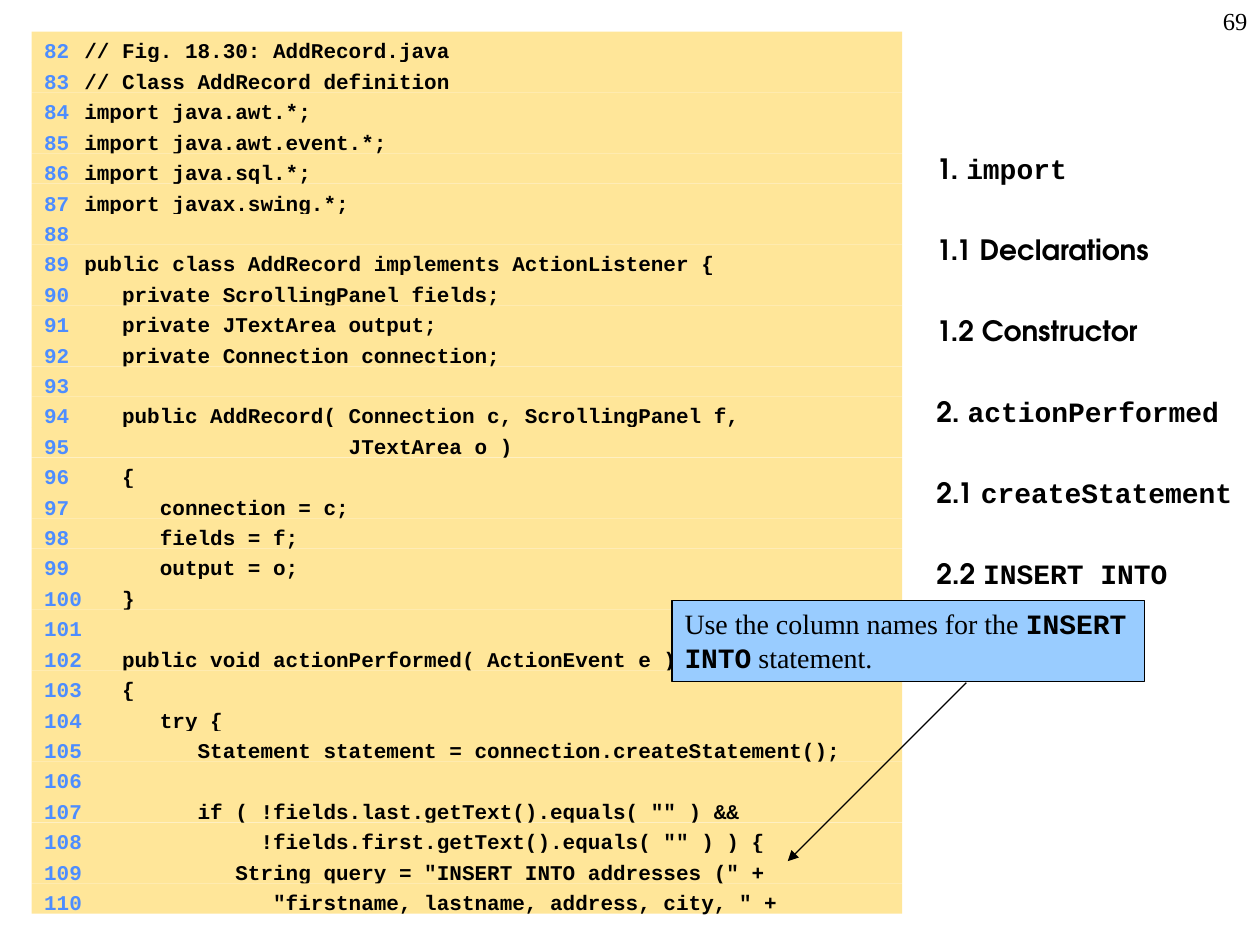
from lxml import etree
from pptx import Presentation
from pptx import util as u
from pptx.dml.color import RGBColor
from pptx.enum import shapes, text
from pptx.oxml import ns

BLACK = RGBColor(0x00, 0x00, 0x00)
CREAM = RGBColor(0xFF, 0xE6, 0x99)
BLUE = RGBColor(0x4D, 0x8D, 0xFF)
SKY = RGBColor(0x99, 0xCC, 0xFF)

MONO = "Courier New"
SANS = "TeX Gyre Adventor"
SERIF = "Times New Roman"

FIRST = 82
CODE = """// Fig. 18.30: AddRecord.java
// Class AddRecord definition
import java.awt.*;
import java.awt.event.*;
import java.sql.*;
import javax.swing.*;

public class AddRecord implements ActionListener {
   private ScrollingPanel fields;
   private JTextArea output;
   private Connection connection;

   public AddRecord( Connection c, ScrollingPanel f,
                     JTextArea o )
   {
      connection = c;
      fields = f;
      output = o;
   }

   public void actionPerformed( ActionEvent e )
   {
      try {
         Statement statement = connection.createStatement();

         if ( !fields.last.getText().equals( "" ) &&
              !fields.first.getText().equals( "" ) ) {
            String query = "INSERT INTO addresses (" +
               "firstname, lastname, address, city, " +""".split("\n")

TOPICS = [
    [("1. ", SANS), ("import", MONO)],
    [("1.1 Declarations", SANS)],
    [("1.2 Constructor", SANS)],
    [("2. ", SANS), ("actionPerformed", MONO)],
    [("2.1 ", SANS), ("createStatement", MONO)],
    [("2.2 ", SANS), ("INSERT INTO", MONO)],
]


class Page:
    def __init__(self, deck):
        self.slide = deck.slides.add_slide(deck.slide_layouts[0])
        self.title = self.slide.shapes.title
        self.title.element.getparent().remove(self.title.element)

    def run(self, para, words, font, size, color=BLACK, bold=False):
        run = para.add_run()
        run.text = words
        run.font.name = font
        run.font.size = u.Pt(size)
        run.font.bold = bold
        run.font.color.rgb = color

    def frame(self, shape):
        frame = shape.text_frame
        frame.word_wrap = True
        frame.auto_size = text.MSO_AUTO_SIZE.NONE
        frame.vertical_anchor = text.MSO_ANCHOR.TOP
        frame.paragraphs[0].alignment = text.PP_ALIGN.LEFT
        return frame

    def box(self, left, top, width, height, fill):
        box = self.slide.shapes.add_shape(
            shapes.MSO_SHAPE.RECTANGLE,
            u.Cm(left), u.Cm(top), u.Cm(width), u.Cm(height))
        box.shadow.inherit = False
        box.fill.solid()
        box.fill.fore_color.rgb = fill
        box.line.fill.background()
        return box

    def tabs(self, para, stops):
        props = para._p.get_or_add_pPr()
        tabs = etree.SubElement(props, ns.qn("a:tabLst"))
        for place, side in stops:
            etree.SubElement(tabs, ns.qn("a:tab"),
                             pos=str(u.Cm(place)), algn=side)

    def code(self, lines, first, left, top, width, height):
        step = height / len(lines)
        for i, line in enumerate(lines):
            row = self.box(left, top + i * step, width, step, CREAM)
            para = self.frame(row).paragraphs[0]
            self.tabs(para, [(0, "l"), (0.38, "r"), (0.81, "l")])
            self.run(para, f"\t{first + i}\t", MONO, 12, BLUE, True)
            if line:
                self.run(para, line, MONO, 12, BLACK, True)

    def topics(self, items, left, top, width, height):
        body = self.slide.placeholders[1]
        body.left, body.top = u.Cm(left), u.Cm(top)
        body.width, body.height = u.Cm(width), u.Cm(height)
        frame = self.frame(body)
        frame.margin_top = u.Cm(0.94)
        for i, item in enumerate(items):
            para = frame.add_paragraph() if i else frame.paragraphs[0]
            para.alignment = text.PP_ALIGN.LEFT
            para.space_before = u.Pt(27.1 if i else 0)
            for words, font in item:
                self.run(para, words, font, 16, BLACK, True)

    def note(self, parts, left, top, width, height):
        box = self.box(left, top, width, height, SKY)
        box.line.color.rgb = BLACK
        box.line.width = u.Pt(0.75)
        para = self.frame(box).paragraphs[0]
        for words, font, bold in parts:
            self.run(para, words, font, 16, BLACK, bold)

    def arrow(self, x1, y1, x2, y2):
        line = self.slide.shapes.add_connector(
            shapes.MSO_CONNECTOR.STRAIGHT,
            u.Cm(x1), u.Cm(y1), u.Cm(x2), u.Cm(y2))
        line.line.color.rgb = BLACK
        line.line.width = u.Pt(0.75)
        etree.SubElement(line.line._get_or_add_ln(),
                         ns.qn("a:tailEnd"), type="triangle")
        etree.SubElement(line._element.spPr, ns.qn("a:effectLst"))

    def number(self, words, left, top, width, height):
        box = self.slide.shapes.add_textbox(
            u.Cm(left), u.Cm(top), u.Cm(width), u.Cm(height))
        para = self.frame(box).paragraphs[0]
        para.alignment = text.PP_ALIGN.RIGHT
        self.run(para, words, SERIF, 14)


def main():
    deck = Presentation()
    deck.slide_width, deck.slide_height = u.Cm(25.4), u.Cm(19.05)
    page = Page(deck)
    page.topics(TOPICS, 18.62, 2.12, 6.78, 16.93)
    page.code(CODE, FIRST, 0.64, 0.64, 17.55, 17.78)
    page.note([("Use the column names for the ", SERIF, False),
               ("INSERT INTO", MONO, True),
               (" statement.", SERIF, False)], 13.55, 12.11, 9.53, 1.63)
    page.arrow(19.48, 13.76, 15.88, 17.36)
    page.number("69", 20.12, 0, 5.28, 1.27)
    deck.save("out.pptx")


if __name__ == "__main__":
    main()
